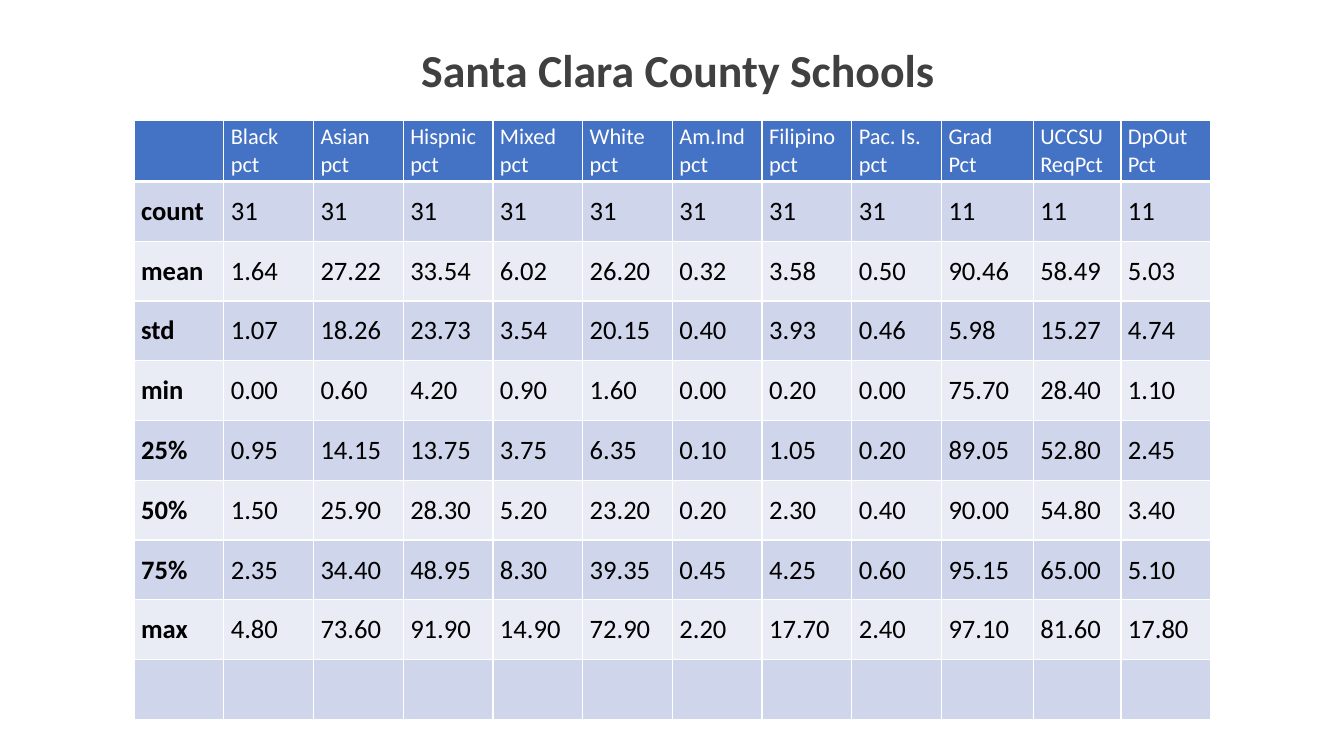
from lxml import etree
from pptx import Presentation
from pptx.dml.color import RGBColor
from pptx.enum.text import MSO_ANCHOR as Anchor
from pptx.oxml.ns import qn
from pptx.util import Inches, Pt

FONT = "Calibri"
HEADER_FILL = "4472C4"
BAND_FILLS = ("CFD5EA", "E9EBF5")
WHITE = "FFFFFF"
COLUMN_WIDTHS = [0.89] * 9 + [0.91, 0.87, 0.89]
ROW_HEIGHTS = [0.61] + [0.593] * 9

HEADERS = [
    "", "Black\npct", "Asian\npct", "Hispnic\npct", "Mixed\npct", "White\npct",
    "Am.Ind\npct", "Filipino\npct", "Pac. Is.\npct", "Grad\nPct",
    "UCCSU\nReqPct", "DpOut\nPct",
]
STATISTICS = [
    ["count"] + ["31"] * 8 + ["11"] * 3,
    "mean 1.64 27.22 33.54 6.02 26.20 0.32 3.58 0.50 90.46 58.49 5.03".split(),
    "std 1.07 18.26 23.73 3.54 20.15 0.40 3.93 0.46 5.98 15.27 4.74".split(),
    "min 0.00 0.60 4.20 0.90 1.60 0.00 0.20 0.00 75.70 28.40 1.10".split(),
    "25% 0.95 14.15 13.75 3.75 6.35 0.10 1.05 0.20 89.05 52.80 2.45".split(),
    "50% 1.50 25.90 28.30 5.20 23.20 0.20 2.30 0.40 90.00 54.80 3.40".split(),
    "75% 2.35 34.40 48.95 8.30 39.35 0.45 4.25 0.60 95.15 65.00 5.10".split(),
    "max 4.80 73.60 91.90 14.90 72.90 2.20 17.70 2.40 97.10 81.60 17.80".split(),
    [""] * len(HEADERS),
]


def color(hex_string):
    return RGBColor.from_string(hex_string)


def style_text(text_frame, size, hex_color, bold=False):
    for paragraph in text_frame.paragraphs:
        font = paragraph.font
        font.name = FONT
        font.size = Pt(size)
        font.bold = bold
        font.color.rgb = color(hex_color)


def set_borders(cell, bottom_width):
    """Draw white borders; call before filling, as the schema puts lines first."""
    properties = cell._tc.get_or_add_tcPr()
    for side, width in (("L", 1), ("R", 1), ("T", 1), ("B", bottom_width)):
        line = etree.SubElement(properties, qn(f"a:ln{side}"), w=str(Pt(width)))
        fill = etree.SubElement(line, qn("a:solidFill"))
        etree.SubElement(fill, qn("a:srgbClr"), val=WHITE)


def fill_cell(cell, text, fill, size, hex_color, bold=False, bottom_width=1):
    cell.text = text
    cell.vertical_anchor = Anchor.MIDDLE
    cell.margin_left = cell.margin_right = Inches(0.07)
    cell.margin_top = cell.margin_bottom = Inches(0.03)
    set_borders(cell, bottom_width)
    cell.fill.solid()
    cell.fill.fore_color.rgb = color(fill)
    style_text(cell.text_frame, size, hex_color, bold)


def add_title(slide, text):
    box = slide.shapes.add_textbox(Inches(4.08), Inches(0.36), Inches(5.3), Inches(0.65))
    box.text_frame.word_wrap = False
    box.text_frame.text = text
    style_text(box.text_frame, 32.7, "404040", bold=True)


def add_statistics_table(slide):
    table = slide.shapes.add_table(
        len(ROW_HEIGHTS), len(COLUMN_WIDTHS),
        Inches(1.33), Inches(1.19), Inches(10.68), Inches(5.95),
    ).table
    for column, width in zip(table.columns, COLUMN_WIDTHS):
        column.width = Inches(width)
    for row, height in zip(table.rows, ROW_HEIGHTS):
        row.height = Inches(height)

    for cell, header in zip(table.rows[0].cells, HEADERS):
        fill_cell(cell, header, HEADER_FILL, 16, WHITE, bottom_width=3)
    for row_index, values in enumerate(STATISTICS):
        for column_index, value in enumerate(values):
            fill_cell(table.cell(row_index + 1, column_index), value,
                      BAND_FILLS[row_index % 2], 19, "000000", bold=column_index == 0)


def main():
    presentation = Presentation()
    presentation.slide_width = Inches(13.33)
    presentation.slide_height = Inches(7.5)
    slide = presentation.slides.add_slide(presentation.slide_layouts[6])
    add_statistics_table(slide)
    add_title(slide, "Santa Clara County Schools")
    presentation.save("out.pptx")


if __name__ == "__main__":
    main()
